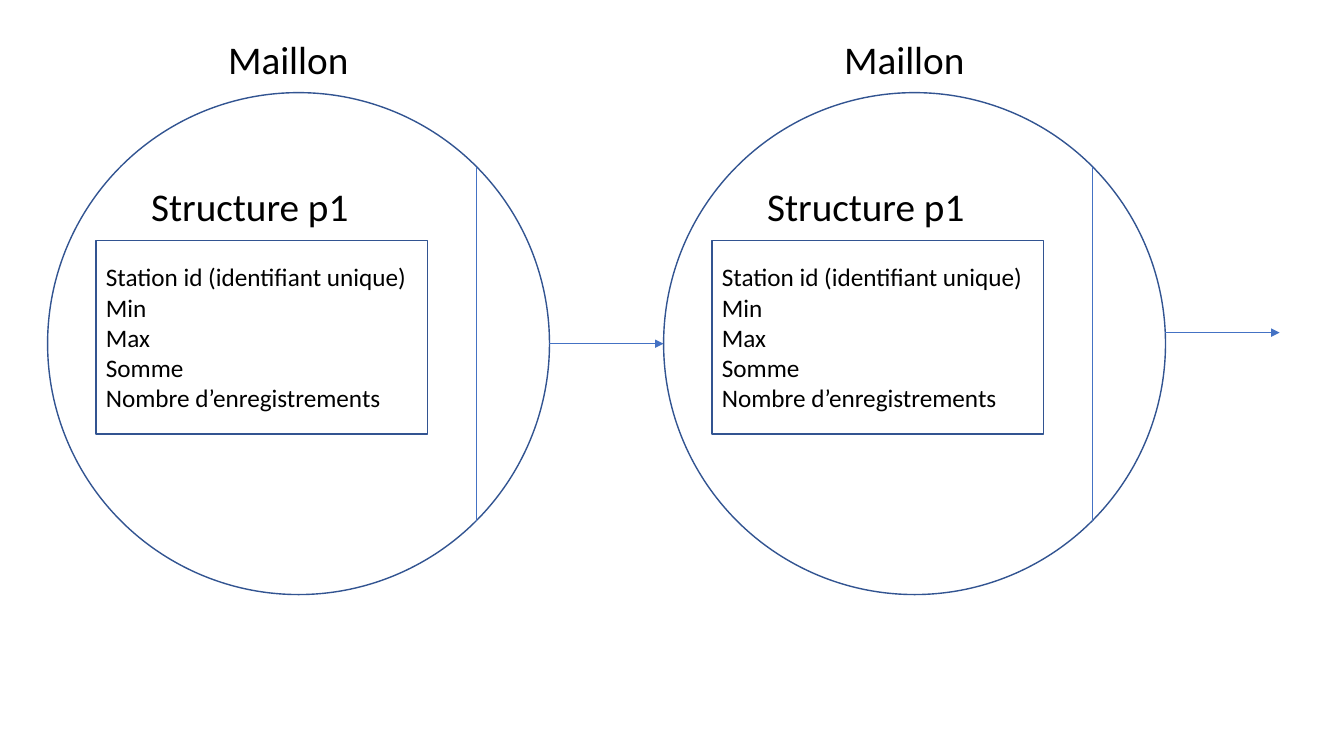
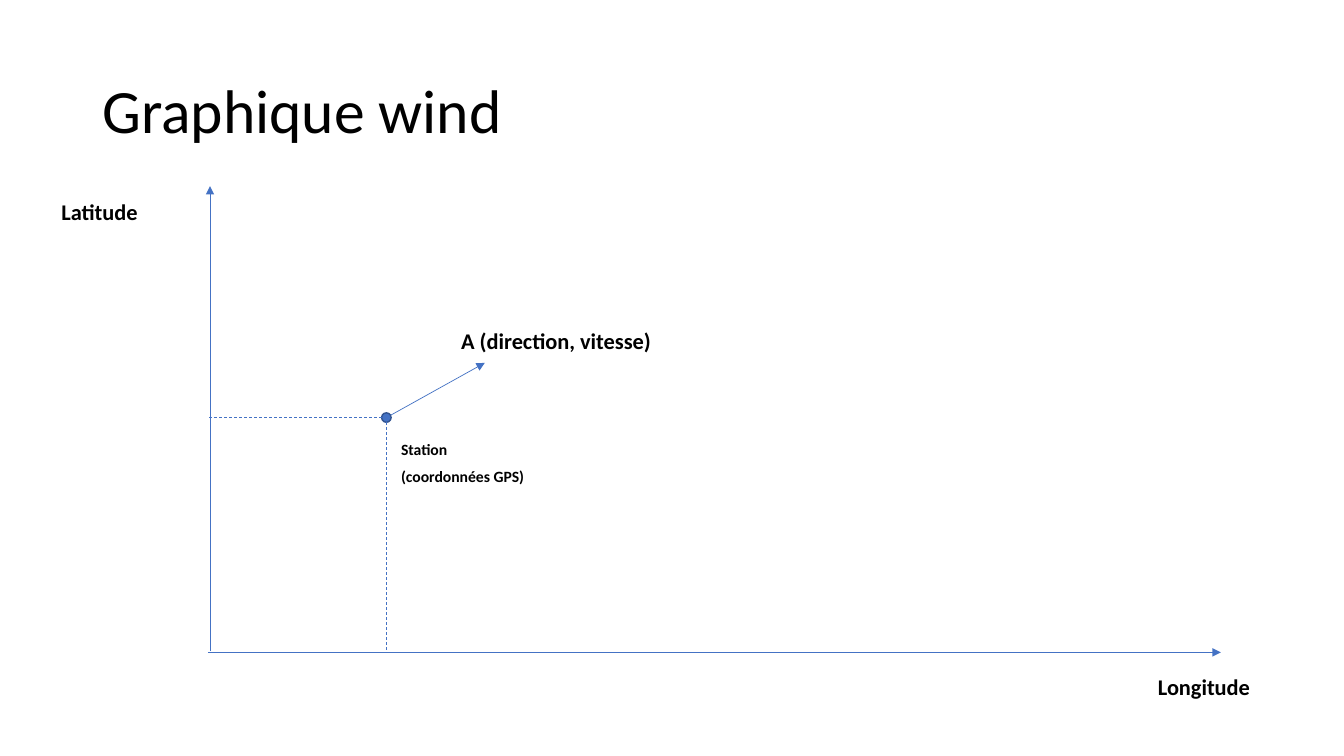
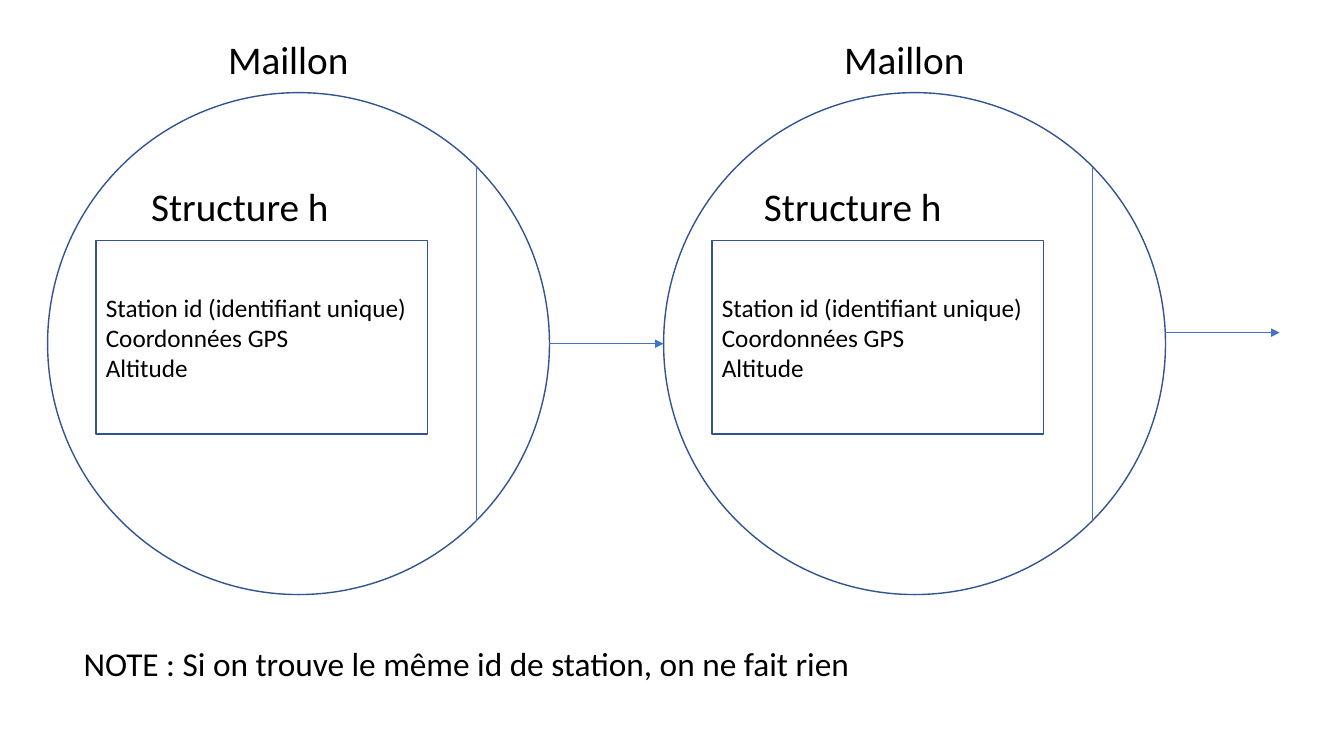
import pptx
import pptx.dml.color
import pptx.enum.dml
import pptx.enum.shapes
import pptx.enum.text
import pptx.oxml.ns
import pptx.util
from lxml import etree

Pt = pptx.util.Pt
rgb = pptx.dml.color.RGBColor.from_string
SHAPE = pptx.enum.shapes.MSO_SHAPE
LEFT = pptx.enum.text.PP_ALIGN.LEFT
CENTER = pptx.enum.text.PP_ALIGN.CENTER
MIDDLE = pptx.enum.text.MSO_ANCHOR.MIDDLE
FONT, INK, BLUE, OUTLINE = "Calibri", "000000", "4472C4", "325491"


def write(shape, lines, size, spacing=0.9, gap=0, align=LEFT, bold=False):
    frame = shape.text_frame
    frame.word_wrap = True
    frame.text = "\n".join(lines)
    for number, paragraph in enumerate(frame.paragraphs):
        paragraph.alignment = align
        paragraph.line_spacing = spacing
        paragraph.space_before = Pt(gap if number else 0)
        font = paragraph.runs[0].font
        font.name, font.size, font.bold = FONT, Pt(size), bold
        font.color.rgb = rgb(INK)


def draw_line(slide, start, end, arrow=False, dashed=False):
    connector = slide.shapes.add_connector(
        pptx.enum.shapes.MSO_CONNECTOR.STRAIGHT, *map(Pt, start + end))
    connector.line.color.rgb = rgb(BLUE)
    connector.line.width = Pt(0.5)
    if dashed:
        connector.line.dash_style = pptx.enum.dml.MSO_LINE.DASH
    properties = connector._element.spPr
    if arrow:
        outline = properties.find(pptx.oxml.ns.qn("a:ln"))
        etree.SubElement(outline, pptx.oxml.ns.qn("a:tailEnd"), type="triangle")
    etree.SubElement(properties, pptx.oxml.ns.qn("a:effectLst"))


deck = pptx.Presentation()
deck.slide_width, deck.slide_height = Pt(960), Pt(540)
p1_slide, wind_slide, h_slide = [
    deck.slides.add_slide(deck.slide_layouts[6]) for _ in range(3)]

# Linked lists: two nodes, each holding one structure
NODE_LEFT, NODE_TOP, NODE_SIZE, NODE_PITCH = 34, 66.2, 358.5, 440
linked_lists = [
    (p1_slide, "Structure p1", (100.8, 540.8),
     ["Station id (identifiant unique)", "Min", "Max", "Somme",
      "Nombre d’enregistrements"]),
    (h_slide, "Structure h", (100.8, 538.6),
     ["Station id (identifiant unique)", "Coordonnées GPS", "Altitude"]),
]
for slide, structure, heading_lefts, fields in linked_lists:
    for node, heading_left in enumerate(heading_lefts):
        shift = node * NODE_PITCH
        field_box = slide.shapes.add_shape(
            SHAPE.RECTANGLE, Pt(68.5 + shift), Pt(172), Pt(237), Pt(138))
        node_circle = slide.shapes.add_shape(
            SHAPE.OVAL, Pt(NODE_LEFT + shift), Pt(NODE_TOP), Pt(NODE_SIZE), Pt(NODE_SIZE))
        for outlined in (field_box, node_circle):
            outlined.shadow.inherit = False
            outlined.fill.background()
            outlined.line.color.rgb = rgb(OUTLINE)
            outlined.line.width = Pt(1)
        field_box.text_frame.vertical_anchor = MIDDLE
        write(field_box, fields, 18, spacing=1)

        headings = [(structure, heading_left, 130.3, LEFT),
                    ("Maillon", 127.4 + shift, 25.2, CENTER)]
        for words, left, top, align in headings:
            heading = slide.shapes.add_textbox(Pt(left), Pt(top), Pt(157), Pt(41))
            write(heading, [words], 28, align=align)

        divider = 340 + shift
        draw_line(slide, (divider, 119), (divider, 372))
        node_right = NODE_LEFT + NODE_SIZE + shift
        next_y = (245.5, 237.6)[node]
        draw_line(slide, (node_right, next_y), (node_right + 81.5, next_y), arrow=True)

note = h_slide.shapes.add_textbox(Pt(31), Pt(461.5), Pt(604), Pt(41))
write(note, ["NOTE : Si on trouve le même id de station, on ne fait rien"],
      23.8, spacing=0.8, align=CENTER)

# Wind chart
title = wind_slide.shapes.add_textbox(Pt(66), Pt(28.8), Pt(828), Pt(104.4))
title.text_frame.vertical_anchor = MIDDLE
write(title, ["Graphique wind"], 44)

draw_line(wind_slide, (148.5, 466), (872, 466), arrow=True)
draw_line(wind_slide, (150, 465), (150, 133), arrow=True)
for words, left, top, width in [
        ("Longitude", 820, 479.5, 104.4),
        ("Latitude", 36.7, 140.4, 104.4),
        ("A (direction, vitesse)", 322.3, 232.3, 181)]:
    label = wind_slide.shapes.add_textbox(Pt(left), Pt(top), Pt(width), Pt(41))
    write(label, [words], 16, bold=True)

station_x, station_y, station_size = 276, 298.3, 6.8
radius = station_size / 2
draw_line(wind_slide, (station_x, station_y), (346.3, 259.2), arrow=True)
station = wind_slide.shapes.add_shape(
    SHAPE.OVAL, Pt(station_x - radius), Pt(station_y - radius),
    Pt(station_size), Pt(station_size))
station.shadow.inherit = False
station.fill.solid()
station.fill.fore_color.rgb = rgb(BLUE)
station.line.color.rgb = rgb(OUTLINE)
station.line.width = Pt(1)
draw_line(wind_slide, (station_x, station_y + radius), (station_x, 465), dashed=True)
draw_line(wind_slide, (station_x - radius, station_y), (148.5, station_y), dashed=True)
station_label = wind_slide.shapes.add_textbox(Pt(279.4), Pt(314), Pt(104.4), Pt(41))
write(station_label, ["Station", "(coordonnées GPS)"], 11.2, spacing=0.7, gap=10, bold=True)

deck.save("out.pptx")
